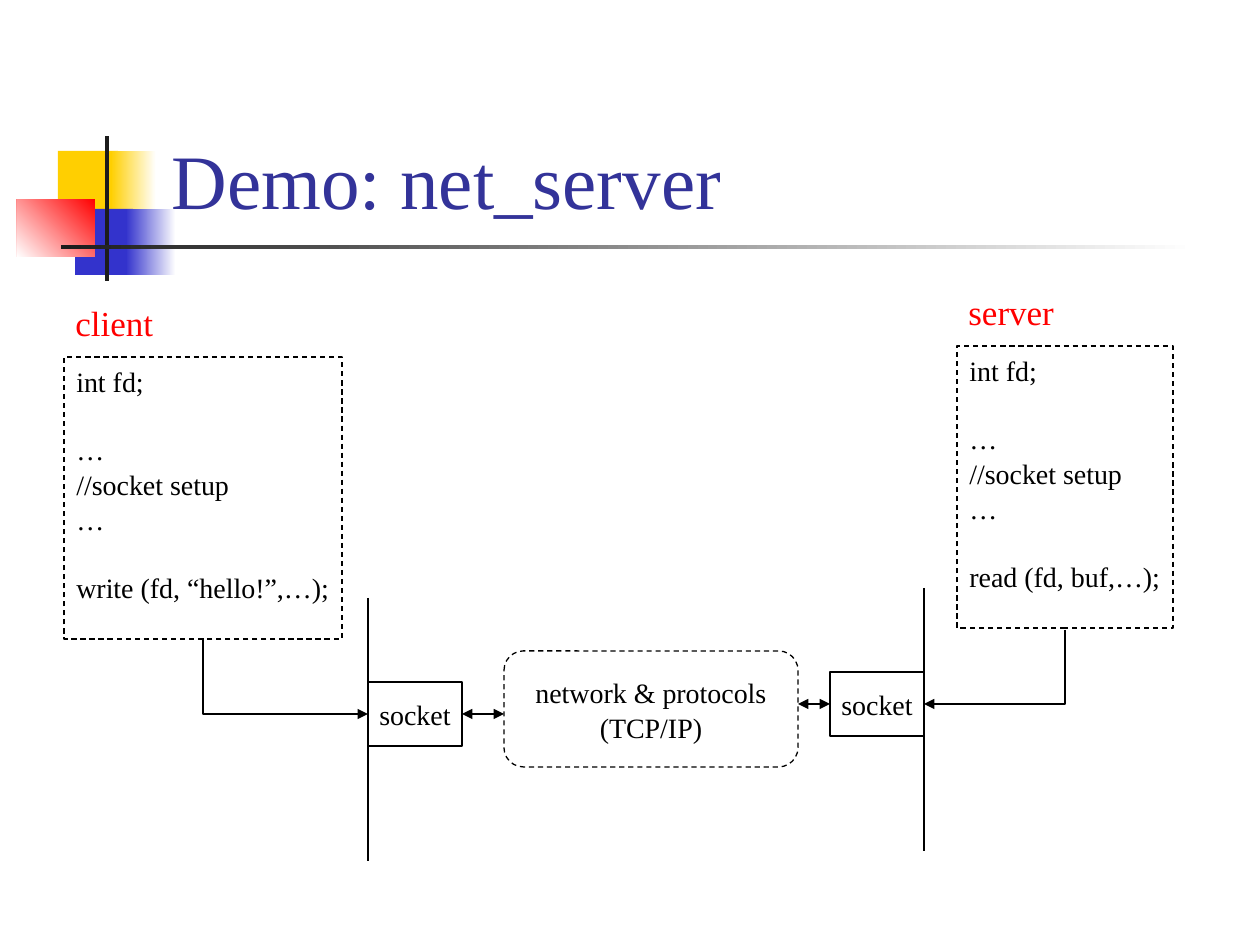
from lxml import etree
from pptx import Presentation
from pptx.dml.color import RGBColor
from pptx.enum.dml import MSO_LINE
from pptx.enum.shapes import MSO_CONNECTOR, MSO_SHAPE
from pptx.enum.text import MSO_ANCHOR, PP_ALIGN
from pptx.oxml.ns import qn
from pptx.util import Pt

RECT, ROUNDED = MSO_SHAPE.RECTANGLE, MSO_SHAPE.ROUNDED_RECTANGLE
STRAIGHT, ELBOW = MSO_CONNECTOR.STRAIGHT, MSO_CONNECTOR.ELBOW
DASH = MSO_LINE.DASH
TOP, MIDDLE, BOTTOM = MSO_ANCHOR.TOP, MSO_ANCHOR.MIDDLE, MSO_ANCHOR.BOTTOM
LEFT, CENTER = PP_ALIGN.LEFT, PP_ALIGN.CENTER
SIDE_LEFT, SIDE_RIGHT = 1, 3

EMU_PER_PX = 914400 / 126
FONT = "Times New Roman"
COLORS = {
    "title": "333399", "text": "000000", "label": "FF0000", "white": "FFFFFF",
    "yellow": "FFCF01", "blue": "3333CC", "red": "FF0000", "bar": "1C1C1C",
}


def px(*lengths):
    return [round(length * EMU_PER_PX) for length in lengths]


def rgb(name):
    return RGBColor.from_string(COLORS[name])


def write(holder, text, size=16, color="text", align=LEFT, anchor=TOP,
          wrap=False, spacing=1.04, gaps=()):
    frame = holder.text_frame
    frame.word_wrap = wrap
    frame.vertical_anchor = anchor
    for index, line in enumerate(text.split("\n")):
        paragraph = frame.paragraphs[0] if index == 0 else frame.add_paragraph()
        paragraph.alignment = align
        paragraph.line_spacing = spacing
        paragraph.space_before = Pt(19 if index in gaps else 0)
        run = paragraph.add_run()
        run.text = line
        run.font.name = FONT
        run.font.size = Pt(size)
        run.font.color.rgb = rgb(color)


def add_block(slide, box, start, end=None, angle=0):
    block = slide.shapes.add_shape(RECT, *px(*box))
    block.shadow.inherit = False
    block.line.fill.background()
    if end is None:
        block.fill.solid()
        block.fill.fore_color.rgb = rgb(start)
        return
    block.fill.gradient()
    block.fill.gradient_angle = angle
    for stop, color in zip(block.fill.gradient_stops, (start, end)):
        stop.color.rgb = rgb(color)


def add_frame(slide, box, text, kind=RECT, dash=None, **text_format):
    frame = slide.shapes.add_shape(kind, *px(*box))
    frame.shadow.inherit = False
    frame.fill.background()
    frame.line.color.rgb = rgb("text")
    frame.line.width = Pt(0.75)
    if dash is not None:
        frame.line.dash_style = dash
    write(frame, text, **text_format)
    return frame


def add_line(slide, start, end, kind=STRAIGHT, arrows=()):
    line = slide.shapes.add_connector(kind, *px(*start, *end))
    line.line.color.rgb = rgb("text")
    line.line.width = Pt(0.75)
    outline = line.line._get_or_add_ln()
    for arrow in arrows:
        etree.SubElement(outline, qn(f"a:{arrow}"), type="triangle")
    etree.SubElement(line._element.spPr, qn("a:effectLst"))
    return line


def add_bend(slide, start, end):
    run, drop = abs(end[0] - start[0]), end[1] - start[1]
    left = (start[0] + end[0] - drop) / 2
    top = (start[1] + end[1] - run) / 2
    bend = add_line(slide, (left, top), (left + drop, top + run), ELBOW, ["tailEnd"])
    properties = bend._element.spPr
    properties.find(qn("a:prstGeom")).set("prst", "bentConnector2")
    transform = properties.find(qn("a:xfrm"))
    to_right = end[0] > start[0]
    transform.set("rot", "16200000" if to_right else "5400000")
    if to_right:
        transform.set("flipH", "1")


def add_header(slide, x, y):
    blocks = [
        ((41, 15, 60, 66), "yellow"),
        ((94, 15, 45, 66), "white", "yellow", 180),
        ((58, 73, 58, 66), "blue"),
        ((109, 73, 50, 66), "white", "blue", 180),
        ((0, 63, 78, 58), "red", "white", 225),
        ((88, 0, 4, 145), "bar"),
        ((44, 109, 1134, 4), "white", "bar", 180),
    ]
    for (left, top, width, height), *fill in blocks:
        add_block(slide, (x + left, y + top, width, height), *fill)
    title = slide.shapes.title
    title.left, title.top, title.width, title.height = px(x + 142, y - 107, 1074, 202)
    write(title, "Demo: net_server", size=44, color="title", anchor=BOTTOM,
          wrap=True, spacing=1.0)
    title._element.getparent().append(title._element)


def add_program(slide, x, y, width, label, label_width, call):
    caption = slide.shapes.add_textbox(*px(x - 1, y - 63, label_width, 55))
    write(caption, label, size=20, color="label")
    code = "\n".join(["int fd;", "…", "//socket setup", "…", call])
    add_frame(slide, (x, y, width, 282), code, dash=DASH, gaps=(1, 4))


def add_socket(slide, x, y, border, network_edge, program):
    width, height = 94, 64
    middle = y + height // 2
    add_line(slide, (border, y - 84), (border, y + 179))
    socket = add_frame(slide, (x, y, width, height), "socket",
                       align=CENTER, anchor=MIDDLE)
    faces_right = network_edge > x
    inner = x + width if faces_right else x
    link = add_line(slide, (inner, middle), (network_edge, middle),
                    arrows=["headEnd", "tailEnd"])
    link.begin_connect(socket, SIDE_RIGHT if faces_right else SIDE_LEFT)
    add_bend(slide, program, (border, middle))


def add_network(slide, x, y, width, height):
    add_frame(slide, (x, y, width, height), "network & protocols\n(TCP/IP)",
              kind=ROUNDED, dash=DASH, align=CENTER, anchor=MIDDLE)


def main():
    deck = Presentation()
    deck.slide_width, deck.slide_height = px(1260, 945)
    slide = deck.slides.add_slide(deck.slide_layouts[5])
    add_header(slide, 17, 136)
    add_program(slide, 64, 357, 278, "client", 103, "write (fd, “hello!”,…);")
    add_program(slide, 957, 346, 216, "server", 111, "read (fd, buf,…);")
    add_network(slide, 504, 651, 294, 116)
    add_socket(slide, 368, 682, 368, 504, (203, 640))
    add_socket(slide, 830, 672, 924, 798, (1065, 630))
    deck.save("out.pptx")


if __name__ == "__main__":
    main()
